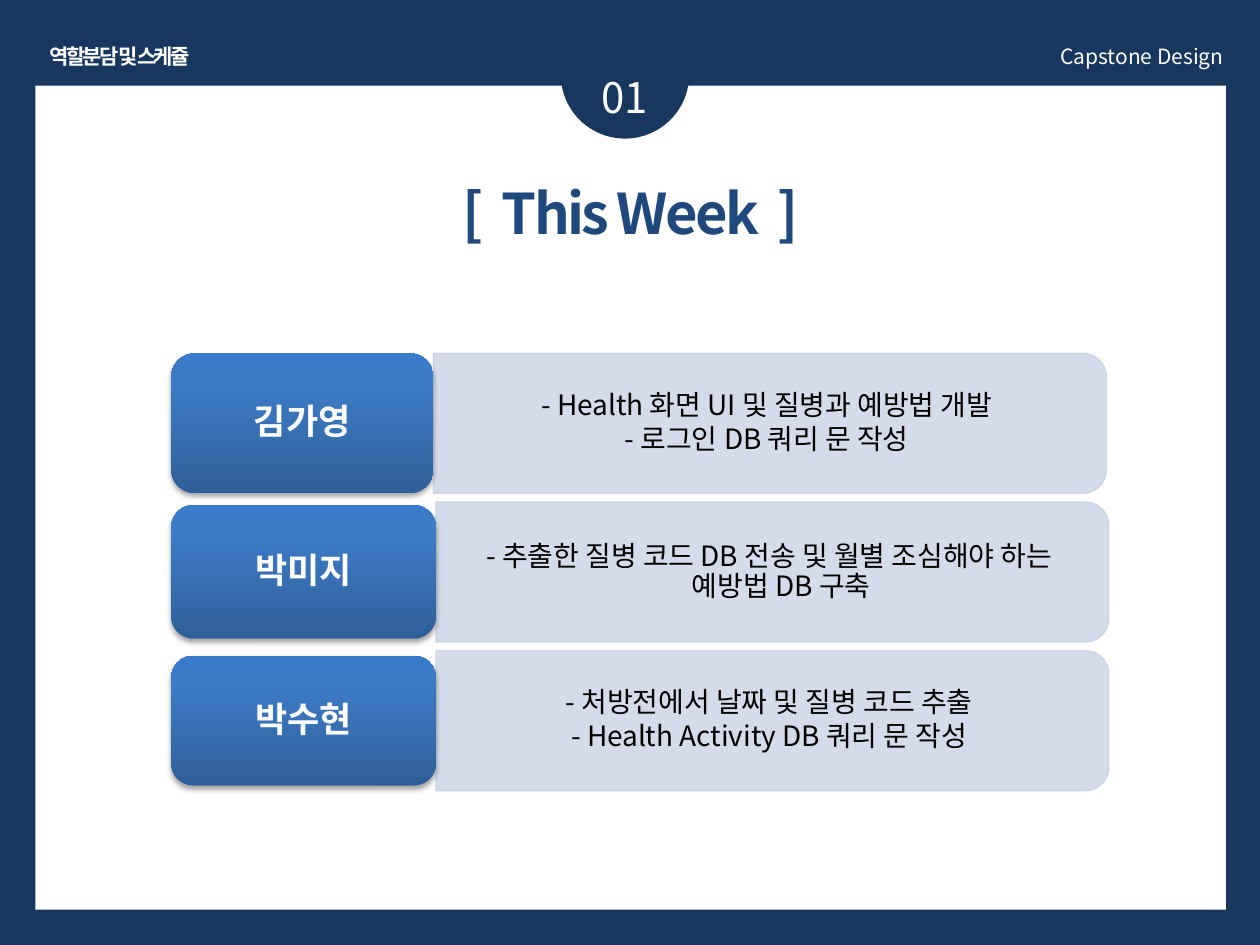
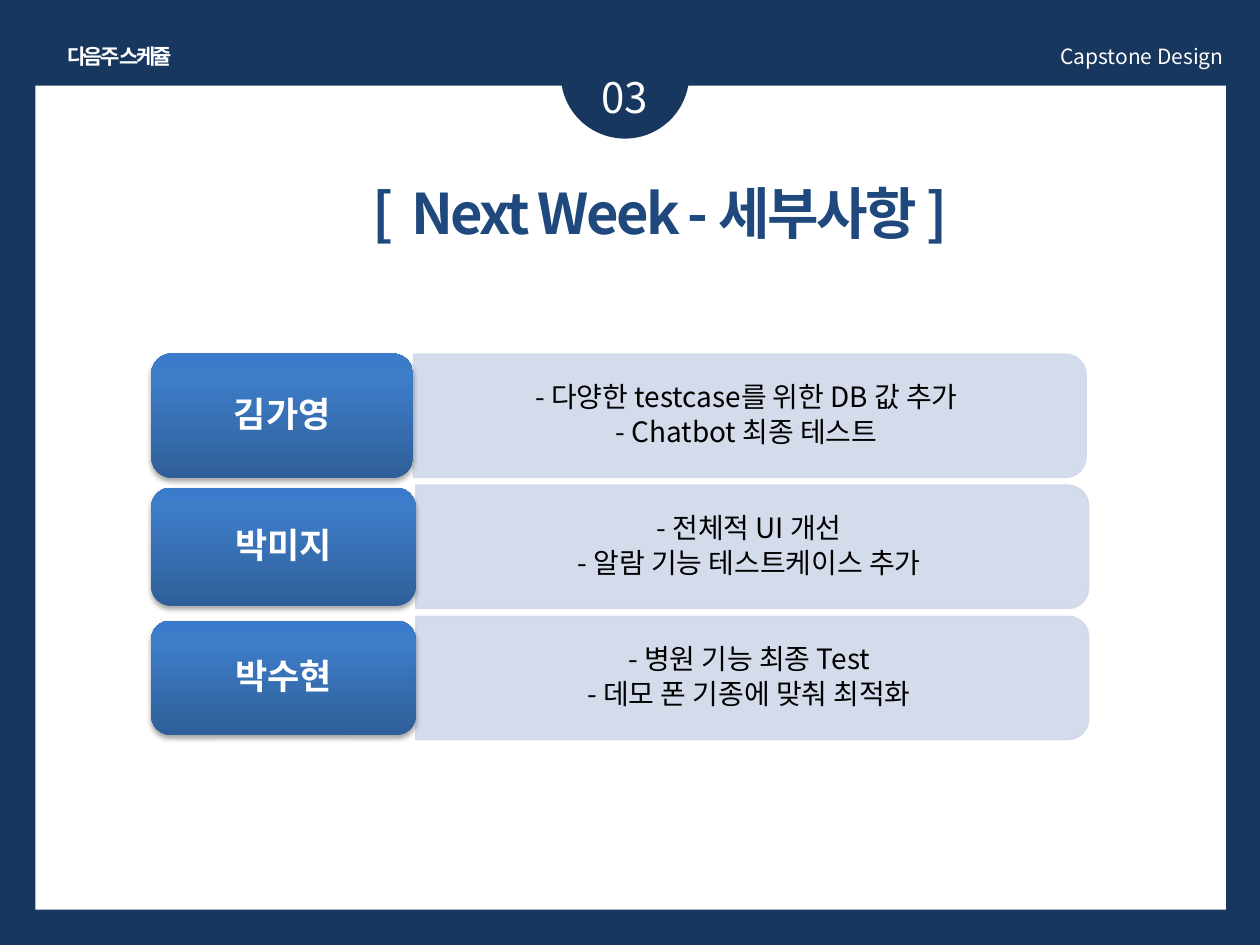
from lxml import etree
from pptx import Presentation
from pptx.dml.color import RGBColor
from pptx.enum.shapes import MSO_SHAPE
from pptx.enum.text import MSO_ANCHOR, MSO_AUTO_SIZE, PP_ALIGN
from pptx.oxml import parse_xml
from pptx.oxml.ns import nsdecls, qn
from pptx.util import Inches, Pt

# Content: rows are (name, card width, card height, tasks)
COURSE = "Capstone Design"
SLIDES = [
    {
        "section": "역할분담 및 스케쥴", "section_box": (0.22, 1.46),
        "number": "01", "title": "[  This Week  ]", "title_width": 4.57,
        "left": 1.36, "first_center": 3.36, "pitch": 1.18, "panel_height": 1.11,
        "panel_line": RGBColor(0xCB, 0xD3, 0xE3),
        "rows": [
            ("김가영", 2.08, 1.11, ["- Health 화면 UI 및 질병과 예방법 개발",
                                 "- 로그인 DB 쿼리 문 작성"]),
            ("박미지", 2.1, 1.06, ["- 추출한 질병 코드 DB 전송 및 월별 조심해야 하는 예방법 DB 구축"]),
            ("박수현", 2.1, 1.03, ["- 처방전에서 날짜 및 질병 코드 추출",
                                "- Health Activity DB 쿼리 문 작성"]),
        ],
    },
    {
        "section": "다음주 스케쥴", "section_box": (0.39, 1.12),
        "number": "03", "title": "[  Next Week - 세부사항 ]", "title_width": 5.04,
        "left": 1.2, "first_center": 3.3, "pitch": 1.04, "panel_height": 0.98,
        "panel_line": RGBColor(0xD0, 0xD8, 0xE8),
        "rows": [
            ("김가영", 2.08, 0.99, ["- 다양한 testcase를 위한 DB 값 추가",
                                 "- Chatbot 최종 테스트"]),
            ("박미지", 2.1, 0.94, ["- 전체적 UI 개선", "- 알람 기능 테스트케이스 추가"]),
            ("박수현", 2.1, 0.91, ["- 병원 기능 최종 Test", "- 데모 폰 기종에 맞춰 최적화"]),
        ],
    },
]

# Shared style
FONT = "Noto Sans CJK KR"
NAVY = RGBColor(0x17, 0x37, 0x5E)
TITLE_BLUE = RGBColor(0x1F, 0x49, 0x7D)
PANEL_BLUE = RGBColor(0xD0, 0xD8, 0xE8)
WHITE = RGBColor(0xFF, 0xFF, 0xFF)
BLACK = RGBColor(0, 0, 0)
CARD_GRADIENT = [(0, "2F5F99"), (80, "3D7CC7"), (100, "3A7CCB")]
PANEL_WIDTH = 5.34
PANEL_OPACITY = 90
CARD_MARGIN = 0.05

RECTANGLE = MSO_SHAPE.RECTANGLE
OVAL = MSO_SHAPE.OVAL
ROUNDED = MSO_SHAPE.ROUNDED_RECTANGLE
ROUNDED_TOP = MSO_SHAPE.ROUND_2_SAME_RECTANGLE
CENTER, RIGHT = PP_ALIGN.CENTER, PP_ALIGN.RIGHT
TOP, MIDDLE = MSO_ANCHOR.TOP, MSO_ANCHOR.MIDDLE
NO_FIT, GROW = MSO_AUTO_SIZE.NONE, MSO_AUTO_SIZE.SHAPE_TO_FIT_TEXT


def add_text(slide, box, lines, size, color, bold=False, align=CENTER, anchor=TOP,
             fit=GROW, wrap=True, insets=(0.1, 0.05), tracking=0,
             line_spacing=None, space_after=0, hanging=0):
    shape = slide.shapes.add_textbox(*map(Inches, box))
    frame = shape.text_frame
    frame.word_wrap, frame.auto_size, frame.vertical_anchor = wrap, fit, anchor
    frame.margin_left = frame.margin_right = Inches(insets[0])
    frame.margin_top = frame.margin_bottom = Inches(insets[1])
    for index, line in enumerate(lines):
        paragraph = frame.add_paragraph() if index else frame.paragraphs[0]
        paragraph.alignment = align
        paragraph.line_spacing = line_spacing
        paragraph.space_after = Pt(space_after)
        if hanging:
            paragraph.level = 1
            properties = paragraph._p.get_or_add_pPr()
            properties.set("marL", str(Inches(hanging)))
            properties.set("indent", str(-Inches(hanging)))
        run = paragraph.add_run()
        run.text = line
        run.font.name, run.font.size, run.font.bold = FONT, Pt(size), bold
        run.font.color.rgb = color
        run_properties = run._r.get_or_add_rPr()
        etree.SubElement(run_properties, qn("a:ea")).set("typeface", FONT)
        if tracking:
            run_properties.set("spc", str(int(tracking * 100)))


def add_shape(slide, kind, box, fill):
    shape = slide.shapes.add_shape(kind, *map(Inches, box))
    shape.shadow.inherit = False
    shape.line.fill.background()
    shape.fill.solid()
    shape.fill.fore_color.rgb = fill
    return shape


def add_panel(slide, left, center, height, line_color):
    # The rounded top is turned to face right
    box = (left + (PANEL_WIDTH - height) / 2, center - PANEL_WIDTH / 2, height, PANEL_WIDTH)
    panel = add_shape(slide, ROUNDED_TOP, box, PANEL_BLUE)
    panel.rotation = 90
    panel.line.color.rgb = line_color
    panel.line.width = Pt(0.75)
    for color in panel._element.spPr.iter(qn("a:srgbClr")):
        etree.SubElement(color, qn("a:alpha")).set("val", str(PANEL_OPACITY * 1000))


def add_card(slide, box):
    card = add_shape(slide, ROUNDED, box, NAVY)
    properties = card._element.spPr
    stops = "".join(f'<a:gs pos="{position * 1000}"><a:srgbClr val="{color}"/></a:gs>'
                    for position, color in CARD_GRADIENT)
    gradient = parse_xml(f'<a:gradFill {nsdecls("a")} rotWithShape="1"><a:gsLst>{stops}</a:gsLst>'
                         '<a:lin ang="16200000" scaled="0"/></a:gradFill>')
    properties.replace(properties.find(qn("a:solidFill")), gradient)
    shadow = parse_xml(f'<a:outerShdw {nsdecls("a")} blurRad="{Pt(3.1)}" dist="{Pt(1.8)}" '
                       'dir="5400000" rotWithShape="0"><a:srgbClr val="000000">'
                       '<a:alpha val="35000"/></a:srgbClr></a:outerShdw>')
    properties.find(qn("a:effectLst")).append(shadow)


def add_frame(slide, content):
    slide.background.fill.solid()
    slide.background.fill.fore_color.rgb = NAVY
    add_shape(slide, RECTANGLE, (0.28, 0.68, 9.45, 6.54), WHITE)
    add_shape(slide, OVAL, (4.45, 0.08, 1.02, 1.02), NAVY)
    add_text(slide, (4.37, 0.52, 1.18, 0.5), [content["number"]], 24, WHITE)
    add_text(slide, (2.72, 1.37, content["title_width"], 0.64), [content["title"]],
             32, TITLE_BLUE, bold=True, tracking=-1.5)
    add_text(slide, (5.87, 0.3, 3.94, 0.3), [COURSE], 12, WHITE, align=RIGHT)
    left, width = content["section_box"]
    add_text(slide, (left, 0.3, width, 0.3), [content["section"]], 12, WHITE,
             bold=True, wrap=False, tracking=-1.5)


def add_rows(slide, content):
    left, panel_height = content["left"], content["panel_height"]
    for index, (name, width, height, tasks) in enumerate(content["rows"]):
        center = content["first_center"] + index * content["pitch"]
        panel_left = left + width
        text_height = panel_height - 0.1
        # Task panel
        add_panel(slide, panel_left, center, panel_height, content["panel_line"])
        add_text(slide, (panel_left, center - text_height / 2, PANEL_WIDTH - 0.05, text_height),
                 tasks, 16, BLACK, anchor=MIDDLE, fit=NO_FIT, insets=(0.27, 0.14),
                 line_spacing=0.9, space_after=2.4, hanging=0.19)
        # Name card
        top = center - height / 2
        add_card(slide, (left, top, width, height))
        add_text(slide, (left + CARD_MARGIN, top + CARD_MARGIN,
                         width - 2 * CARD_MARGIN, height - 2 * CARD_MARGIN),
                 [name], 20, WHITE, bold=True, anchor=MIDDLE, fit=NO_FIT,
                 insets=(0.08, 0.04), line_spacing=0.9, space_after=7)


def main():
    presentation = Presentation()
    presentation.slide_width, presentation.slide_height = Inches(10), Inches(7.5)
    for content in SLIDES:
        slide = presentation.slides.add_slide(presentation.slide_layouts[6])
        add_frame(slide, content)
        add_rows(slide, content)
    presentation.save("out.pptx")


if __name__ == "__main__":
    main()
